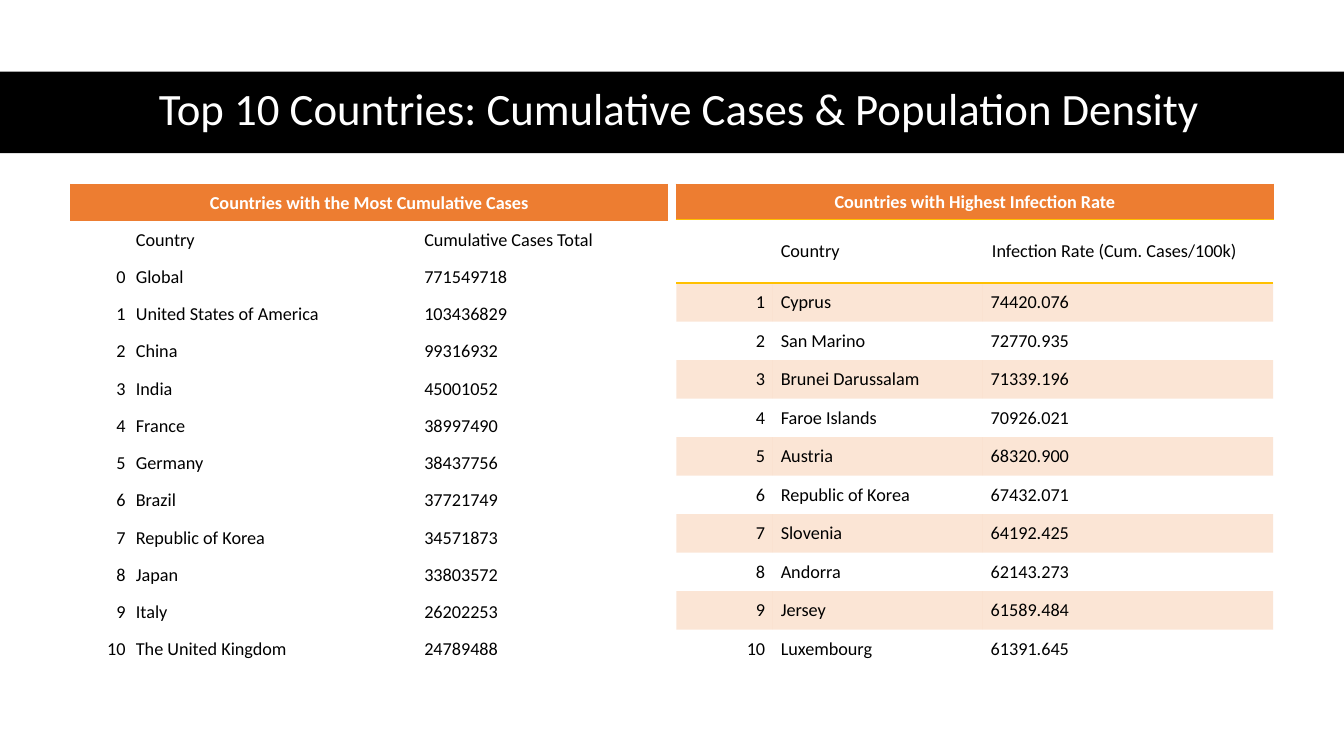
"""Build a slide with two top-ten country tables under a title band."""
import pptx
import pptx.util
import pptx.dml.color
import pptx.enum.shapes
import pptx.enum.text
import pptx.oxml
import pptx.oxml.ns

Pt = pptx.util.Pt
RGBColor = pptx.dml.color.RGBColor
ALIGN = pptx.enum.text.PP_ALIGN
MIDDLE = pptx.enum.text.MSO_ANCHOR.MIDDLE
qn = pptx.oxml.ns.qn

BLACK = RGBColor(0x00, 0x00, 0x00)
WHITE = RGBColor(0xFF, 0xFF, 0xFF)
ORANGE = RGBColor(0xED, 0x7D, 0x31)
GOLD = RGBColor(0xFF, 0xC0, 0x00)
NO_STYLE = "{2D5ABB26-0587-4C30-8999-92F81FD0307C}"

TITLE = "Top 10 Countries: Cumulative Cases & Population Density"
CASES = {
    "heading": "Countries with the Most Cumulative Cases",
    "rows": [
        ("", "Country", "Cumulative Cases Total"),
        ("0", "Global", "771549718"),
        ("1", "United States of America", "103436829"),
        ("2", "China", "99316932"),
        ("3", "India", "45001052"),
        ("4", "France", "38997490"),
        ("5", "Germany", "38437756"),
        ("6", "Brazil", "37721749"),
        ("7", "Republic of Korea", "34571873"),
        ("8", "Japan", "33803572"),
        ("9", "Italy", "26202253"),
        ("10", "The United Kingdom", "24789488"),
    ],
    "left": 50.4,
    "widths": (43, 206, 177.5),
    "heights": (26.6, 26.6, 26.6),
    "insets": (3.7, 1.9),
    "edges": {"lnL": ORANGE, "lnR": ORANGE, "lnT": ORANGE},
    "edge_width": 0.5,
    "banded": False,
}
RATES = {
    "heading": "Countries with Highest Infection Rate",
    "rows": [
        ("", "Country", "Infection Rate (Cum. Cases/100k)"),
        ("1", "Cyprus", "74420.076"),
        ("2", "San Marino", "72770.935"),
        ("3", "Brunei Darussalam", "71339.196"),
        ("4", "Faroe Islands", "70926.021"),
        ("5", "Austria", "68320.900"),
        ("6", "Republic of Korea", "67432.071"),
        ("7", "Slovenia", "64192.425"),
        ("8", "Andorra", "62143.273"),
        ("9", "Jersey", "61589.484"),
        ("10", "Luxembourg", "61391.645"),
    ],
    "left": 483.1,
    "widths": (69, 150, 207.4),
    "heights": (25.2, 45.4, 27.5),
    "insets": (5.6, 2.8),
    "edges": {"lnL": ORANGE, "lnR": ORANGE, "lnT": ORANGE, "lnB": GOLD},
    "edge_width": 1,
    "banded": True,
}
HEADING_INSETS = (3.7, 1.9)
TABLE_TOP = 131.6


def write(frame, text, size=13, color=BLACK, bold=False, align=ALIGN.LEFT, spacing=None):
    paragraph = frame.paragraphs[0]
    paragraph.alignment = align
    paragraph.line_spacing = spacing
    run = paragraph.add_run()
    run.text = text
    run.font.name = "Calibri"
    run.font.size = Pt(size)
    run.font.bold = bold
    run.font.color.rgb = color


def pad(cell, insets):
    cell.margin_left = cell.margin_right = Pt(insets[0])
    cell.margin_top = cell.margin_bottom = Pt(insets[1])
    cell.vertical_anchor = MIDDLE


def outline(cell, edges, width):
    properties = cell._tc.get_or_add_tcPr()
    for side, color in edges.items():
        line = pptx.oxml.parse_xml(
            f'<a:{side} {pptx.oxml.ns.nsdecls("a")} w="{int(Pt(width))}">'
            f'<a:solidFill><a:srgbClr val="{color}"/></a:solidFill></a:{side}>')
        properties.append(line)


def paint(cell, color, opacity=100):
    cell.fill.solid()
    cell.fill.fore_color.rgb = color
    if opacity < 100:
        tint = next(cell._tc.tcPr.find(qn("a:solidFill")).iter(qn("a:srgbClr")))
        alpha = tint.makeelement(qn("a:alpha"), {"val": str(opacity * 1000)})
        tint.append(alpha)


def add_ranking(slide, ranking):
    rows = ranking["rows"]
    heading_height, label_height, body_height = ranking["heights"]
    heights = [heading_height, label_height] + [body_height] * (len(rows) - 1)
    holder = slide.shapes.add_table(
        len(heights), 3, Pt(ranking["left"]), Pt(TABLE_TOP),
        Pt(sum(ranking["widths"])), Pt(sum(heights)))
    next(holder.element.iter(qn("a:tableStyleId"))).text = NO_STYLE
    table = holder.table
    table.horz_banding = False
    for column, width in zip(table.columns, ranking["widths"]):
        column.width = Pt(width)
    for row, height in zip(table.rows, heights):
        row.height = Pt(height)

    heading = table.cell(0, 0)
    heading.merge(table.cell(0, 2))
    pad(heading, HEADING_INSETS)
    write(heading.text_frame, ranking["heading"], color=WHITE, bold=True, align=ALIGN.CENTER)
    outline(heading, ranking["edges"], ranking["edge_width"])
    paint(heading, ORANGE)

    for r, entry in enumerate(rows, start=1):
        for c, value in enumerate(entry):
            cell = table.cell(r, c)
            pad(cell, ranking["insets"])
            if value:
                write(cell.text_frame, value, align=ALIGN.LEFT if c else ALIGN.RIGHT)
            if r == 1 and "lnB" in ranking["edges"]:
                outline(cell, {"lnT": GOLD}, ranking["edge_width"])
            if ranking["banded"] and r % 2 == 0:
                paint(cell, ORANGE, opacity=20)
    return table


def main():
    deck = pptx.Presentation()
    deck.slide_width, deck.slide_height = Pt(960), Pt(540)
    slide = deck.slides.add_slide(deck.slide_layouts[5])

    band = slide.shapes.add_shape(
        pptx.enum.shapes.MSO_SHAPE.RECTANGLE, Pt(0), Pt(51.2), Pt(960), Pt(58.2))
    band.shadow.inherit = False
    band.fill.solid()
    band.fill.fore_color.rgb = BLACK
    band.line.fill.background()

    title = slide.shapes.title
    title.element.addprevious(band.element)
    title.left, title.top, title.width, title.height = Pt(43.9), Pt(50.4), Pt(882.7), Pt(58.3)
    title.text_frame.vertical_anchor = MIDDLE
    write(title.text_frame, TITLE, size=32, color=WHITE, align=ALIGN.CENTER, spacing=0.9)

    add_ranking(slide, CASES)
    rates = add_ranking(slide, RATES)
    pad(rates.cell(1, 2), (6.5, 3.6))
    deck.save("out.pptx")


if __name__ == "__main__":
    main()
